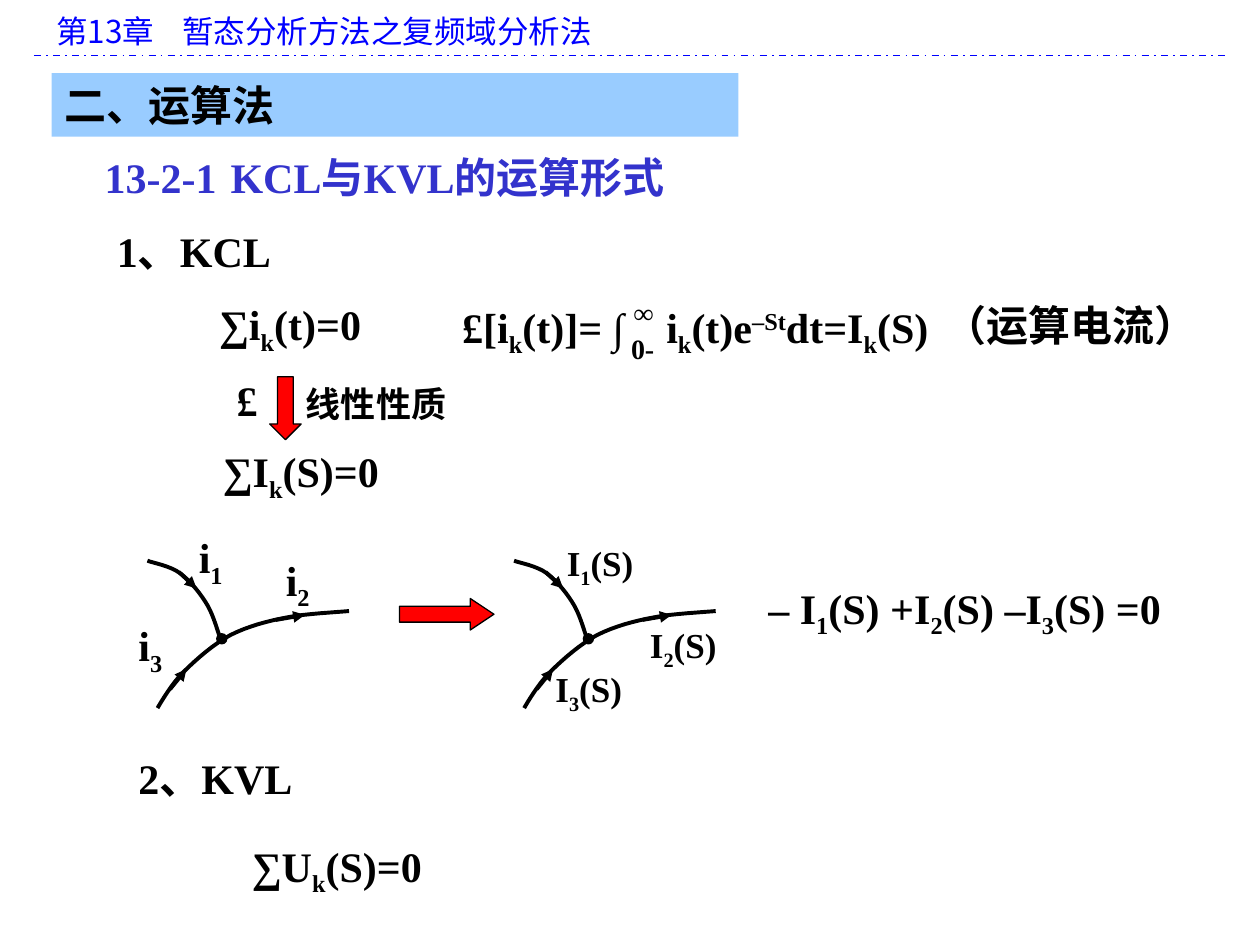
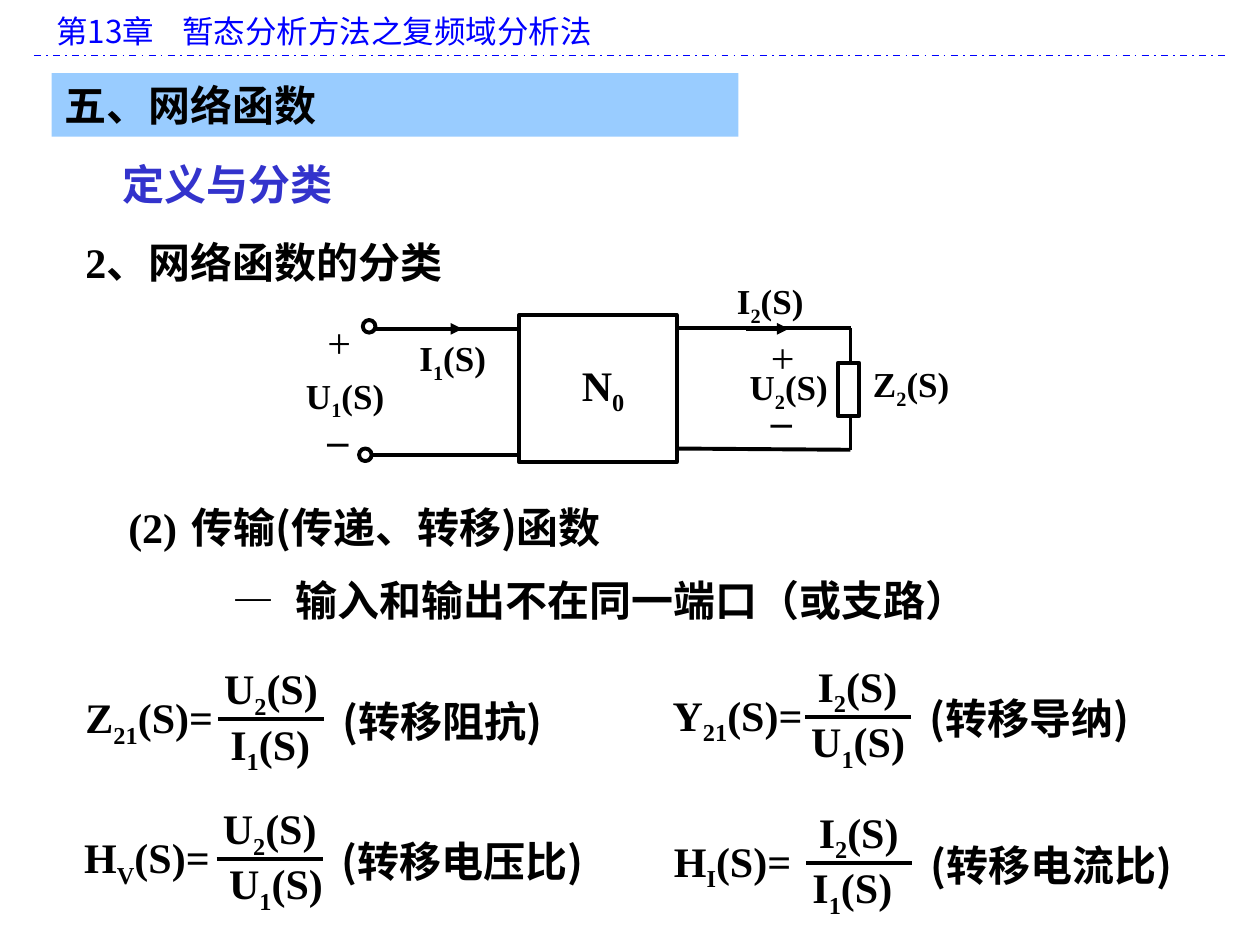
from dataclasses import dataclass
from typing import Any

from lxml import etree
from pptx import Presentation
from pptx.dml.color import RGBColor
from pptx.enum.dml import MSO_LINE
from pptx.enum.shapes import MSO_CONNECTOR, MSO_SHAPE
from pptx.enum.text import MSO_ANCHOR, MSO_AUTO_SIZE, PP_ALIGN
from pptx.oxml.ns import qn
from pptx.util import Inches, Pt

DASH_DOT = MSO_LINE.DASH_DOT
STRAIGHT = MSO_CONNECTOR.STRAIGHT
RECTANGLE = MSO_SHAPE.RECTANGLE
ELLIPSE = MSO_SHAPE.OVAL
DOWN_ARROW = MSO_SHAPE.DOWN_ARROW
RIGHT_ARROW = MSO_SHAPE.RIGHT_ARROW
TOP = MSO_ANCHOR.TOP
FIXED_SIZE = MSO_AUTO_SIZE.NONE
LEFT = PP_ALIGN.LEFT

BLACK = RGBColor(0x00, 0x00, 0x00)
RED = RGBColor(0xFF, 0x00, 0x00)
HEADER_BLUE = RGBColor(0x00, 0x00, 0xFF)
HEADING_BLUE = RGBColor(0x33, 0x33, 0xCC)
BAND_BLUE = RGBColor(0x99, 0xCC, 0xFF)

LATIN_FONT = "Times New Roman"
CHINESE_FONT = "Noto Sans CJK SC"
SLIDE_WIDTH, SLIDE_HEIGHT = Inches(10), Inches(7.5)
COLUMN, ROW = SLIDE_WIDTH / 100, SLIDE_HEIGHT / 75
BASELINES = {"_": "-25000", "^": "30000"}
CURVE_STEPS = 8

INFLOW_CURVE = [(0, 2.8), (0.5, 3), (1.8, 3.2), (2.6, 3.8), (3.4, 4.4),
                (4.3, 5.5), (4.8, 6.4), (5.3, 7.3), (5.6, 8.5), (5.8, 9)]
THROUGH_CURVE = [(0.8, 14.5), (1.1, 14), (1.9, 12.6), (2.9, 11.6), (3.9, 10.6),
                 (5.3, 9.4), (6.6, 8.7), (8, 8), (9.5, 7.6), (11.1, 7.3),
                 (12.6, 7), (15, 6.9), (16, 6.8)]
CURRENT_ARROWS = [((2.5, 3.7), (3.9, 5)), ((1.8, 13), (3.1, 11.4)),
                  ((10.2, 7.5), (12.5, 7.1))]


def write_text(text_frame, markup, size=24, color=BLACK, bold=True, tab=None):
    """Pieces are parted by |; a leading _ or ^ lowers or raises a piece."""
    text_frame.word_wrap = True
    text_frame.auto_size = FIXED_SIZE
    text_frame.vertical_anchor = TOP
    paragraph = text_frame.paragraphs[0]
    properties = paragraph._p.get_or_add_pPr()
    properties.set("marL", "0")
    properties.set("indent", "0")
    etree.SubElement(properties, qn("a:buNone"))
    if tab is not None:
        tab_list = etree.SubElement(properties, qn("a:tabLst"))
        etree.SubElement(tab_list, qn("a:tab"), pos=str(round(tab * COLUMN)), algn="l")
    paragraph.alignment = LEFT
    paragraph.space_before = Pt(0)
    for piece in markup.split("|"):
        run = paragraph.add_run()
        baseline = BASELINES.get(piece[0])
        run.text = piece[1:] if baseline else piece
        font = run.font
        font.size = Pt(size)
        font.bold = bold
        font.color.rgb = color
        font.name = CHINESE_FONT if any(mark >= "一" for mark in piece) else LATIN_FONT
        run_properties = run._r.get_or_add_rPr()
        east_asian = etree.SubElement(run_properties, qn("a:ea"))
        east_asian.set("typeface", CHINESE_FONT)
        if baseline:
            run_properties.set("baseline", baseline)


def bezier_points(controls):
    points = [controls[0]]
    for first in range(0, len(controls) - 1, 3):
        segment = controls[first:first + 4]
        for step in range(1, CURVE_STEPS + 1):
            t = step / CURVE_STEPS
            weights = ((1 - t) ** 3, 3 * t * (1 - t) ** 2, 3 * t * t * (1 - t), t ** 3)
            points.append(tuple(
                sum(weight * point[axis] for weight, point in zip(weights, segment))
                for axis in (0, 1)))
    return points


@dataclass
class Region:
    shapes: Any
    left: float = 0
    top: float = 0

    def within(self, left, top):
        return Region(self.shapes, self.left + left, self.top + top)

    def point(self, x, y):
        return round((self.left + x) * COLUMN), round((self.top + y) * ROW)

    def frame(self, x, y, width, height):
        return (*self.point(x, y), round(width * COLUMN), round(height * ROW))

    def text(self, x, y, width, markup, size=24, **style):
        textbox = self.shapes.add_textbox(*self.frame(x, y, width, size / 5))
        write_text(textbox.text_frame, markup, size, **style)
        return textbox

    def placeholder(self, shape, x, y, width, height, markup, **style):
        shape.left, shape.top, shape.width, shape.height = self.frame(x, y, width, height)
        write_text(shape.text_frame, markup, **style)

    def preset(self, kind, x, y, width, height, fill=None, line_width=0.75):
        shape = self.shapes.add_shape(kind, *self.frame(x, y, width, height))
        shape.shadow.inherit = False
        if fill is None:
            shape.fill.background()
        else:
            shape.fill.solid()
            shape.fill.fore_color.rgb = fill
        shape.line.color.rgb = BLACK
        shape.line.width = Pt(line_width)
        return shape

    def line(self, start, end, color=BLACK, width=2.25, arrow=False):
        connector = self.shapes.add_connector(STRAIGHT, *self.point(*start), *self.point(*end))
        connector.line.color.rgb = color
        connector.line.width = Pt(width)
        if arrow:
            etree.SubElement(connector.line._get_or_add_ln(), qn("a:tailEnd"), type="triangle")
        etree.SubElement(connector.element.spPr, qn("a:effectLst"))
        return connector

    def curve(self, controls):
        points = [self.point(*point) for point in bezier_points(controls)]
        builder = self.shapes.build_freeform(*points[0])
        builder.add_line_segments(points[1:], close=False)
        shape = builder.convert_to_shape()
        shape.shadow.inherit = False
        shape.fill.background()
        shape.line.color.rgb = BLACK
        shape.line.width = Pt(2.25)


def add_chapter_header(layout, slide):
    page = Region(slide.shapes)
    chapter = page.text(3.5, 0.5, 93.7, "第13章\t暂态分析方法之复频域分析法", 18,
                        color=HEADER_BLUE, bold=False, tab=10.1)
    rule = page.line((2.7, 4.4), (97.2, 4.4), HEADER_BLUE, 1)
    rule.line.dash_style = DASH_DOT
    for shape in (chapter, rule):
        layout.shapes.element.append(shape.element)


def add_headings(slide, title, heading, left, top, tab=None):
    page = Region(slide.shapes)
    band = slide.shapes.title
    page.placeholder(band, 4.1, 5.8, 54.5, 5.05, title)
    band.fill.solid()
    band.fill.fore_color.rgb = BAND_BLUE
    page.placeholder(slide.placeholders[1], left, top, 62.7, 5, heading,
                     color=HEADING_BLUE, tab=tab)
    return page


def add_current_law(region):
    region.text(0, 0, 16.7, "1、KCL")
    region.text(8.1, 5.8, 15, "∑i|_k|(t)=0")
    region.text(8.4, 17.5, 25.8, "∑I|_k|(S)=0")
    region.text(9.5, 11.8, 6.7, "£")
    region.preset(DOWN_ARROW, 13.1, 12.5, 2.5, 5, RED)
    region.text(15, 12.5, 19.3, "线性性质", 20)


def add_transform_integral(region):
    region.text(0, 0.4, 16, "£[i|_k|(t)]= ∫")
    region.text(13.6, 0, 6.2, "∞", 16)
    region.text(13.4, 2.8, 9.8, "0-", 16)
    region.text(16.2, 0.4, 24, "i|_k|(t)e|^–St|dt=I|_k|(S)")
    region.text(38.3, 0.3, 24, "（运算电流）")


def add_junction(region, labels, size):
    region.curve(THROUGH_CURVE)
    region.curve(INFLOW_CURVE)
    for start, end in CURRENT_ARROWS:
        region.line(start, end, arrow=True)
    region.preset(ELLIPSE, 5.5, 8.6, 0.8, 0.8, BLACK)
    for x, y, markup in labels:
        region.text(x, y, 9, markup, size)


def add_network_circuit(region):
    region.preset(RECTANGLE, 17.9, 3.3, 12.5, 11.7, line_width=2.25)
    region.preset(RECTANGLE, 43.2, 7.1, 1.7, 4.2, line_width=2.25)
    for x, y in ((5.5, 3.7), (5.2, 13.9)):
        region.preset(ELLIPSE, x, y, 1, 1, line_width=2.25)
    wires = [((6.3, 4.4), (17.9, 4.4)), ((6.3, 14.4), (17.9, 14.4)),
             ((30.5, 4.35), (44.2, 4.35)), ((44.2, 4.35), (44.2, 7.1)),
             ((30.5, 13.9), (44.2, 14)), ((44.2, 14), (44.2, 11.3))]
    for start, end in wires:
        region.line(start, end)
    for x in (10, 35.9):
        region.line((x, 4.4), (x + 3.4, 4.4), arrow=True)
    region.text(21.9, 6.3, 7, "N|_0")
    for x, y, markup in ((9, 4.5, "I|_1|(S)"), (34.2, 0, "I|_2|(S)"),
                         (0, 7.5, "U|_1|(S)"), (35.2, 6.8, "U|_2|(S)"),
                         (45, 6.6, "Z|_2|(S)")):
        region.text(x, y, 11.8, markup, 20)
    for x, plus_top, minus_top in ((1.7, 2.9, 10.6), (36.9, 4.1, 9.1)):
        region.text(x, plus_top, 4, "+", bold=False)
        region.text(x, minus_top, 4, "–")


def add_transfer_formula(region, name, numerator, denominator, meaning,
                         numerator_left, denominator_left, meaning_width):
    region.text(0, 2.3, 13, name)
    region.text(numerator_left, 0, 14.3, numerator)
    region.text(denominator_left, 4.4, 14.3, denominator)
    region.line((11.5, 5), (19.9, 5))
    region.text(20.4, 2.6, meaning_width, meaning)


def build_operational_slide(slide):
    page = add_headings(slide, "二、运算法", "13-2-1\tKCL|与|KVL|的运算形式", 7.3, 11.5, 10.6)
    add_current_law(page.within(8.3, 17.4))
    add_transform_integral(page.within(35.7, 23))
    add_junction(page.within(11.7, 41.7),
                 [(3.1, 0, "i|_1"), (10, 1.8, "i|_2"), (-1.7, 7, "i|_3")], 24)
    page.preset(RIGHT_ARROW, 31.7, 47.5, 7.5, 2.5, RED).adjustments[1] = 0.75
    add_junction(page.within(40.8, 41.7),
                 [(3.2, 0.8, "I|_1|(S)"), (9.8, 7.3, "I|_2|(S)"), (2.3, 10.8, "I|_3|(S)")], 20)
    page.text(60, 45.7, 35.8, "– I|_1|(S) +I|_2|(S) –I|_3|(S) =0")
    page.text(10, 59.2, 19.2, "2、KVL")
    page.text(19, 66.2, 21, "∑U|_k|(S)=0")


def build_network_slide(slide):
    page = add_headings(slide, "五、网络函数", "定义与分类", 8.7, 12.1)
    page.text(5.8, 18.3, 41, "2|、网络函数的分类")
    add_network_circuit(page.within(23.3, 21.7))
    page.text(9.2, 39.3, 56, "(2)\t|传输(传递、转移)函数", tab=6.2)
    page.text(17.5, 45.1, 65.6, "—\t|输入和输出不在同一端口（或支路）", tab=4.7)
    formulas = [
        (5.8, 52.1, "Z|_21|(S)=", "U|_2|(S)", "I|_1|(S)", "(转移阻抗)", 11, 11.5, 26),
        (52.4, 51.9, "Y|_21|(S)=", "I|_2|(S)", "U|_1|(S)", "(转移导纳)", 11.5, 11, 18.8),
        (5.7, 63.2, "H|_V|(S)=", "U|_2|(S)", "U|_1|(S)", "(转移电压比)", 11, 11.5, 26),
        (52.5, 63.5, "H|_I|(S)=", "I|_2|(S)", "I|_1|(S)", "(转移电流比)", 11.5, 11, 22.1),
    ]
    for left, top, *parts in formulas:
        add_transfer_formula(page.within(left, top), *parts)


def main():
    presentation = Presentation()
    presentation.slide_width, presentation.slide_height = SLIDE_WIDTH, SLIDE_HEIGHT
    layout = presentation.slide_layouts[1]
    builders = (build_operational_slide, build_network_slide)
    slides = [presentation.slides.add_slide(layout) for _ in builders]
    add_chapter_header(layout, slides[0])
    for build, slide in zip(builders, slides):
        build(slide)
    presentation.save("out.pptx")


if __name__ == "__main__":
    main()
